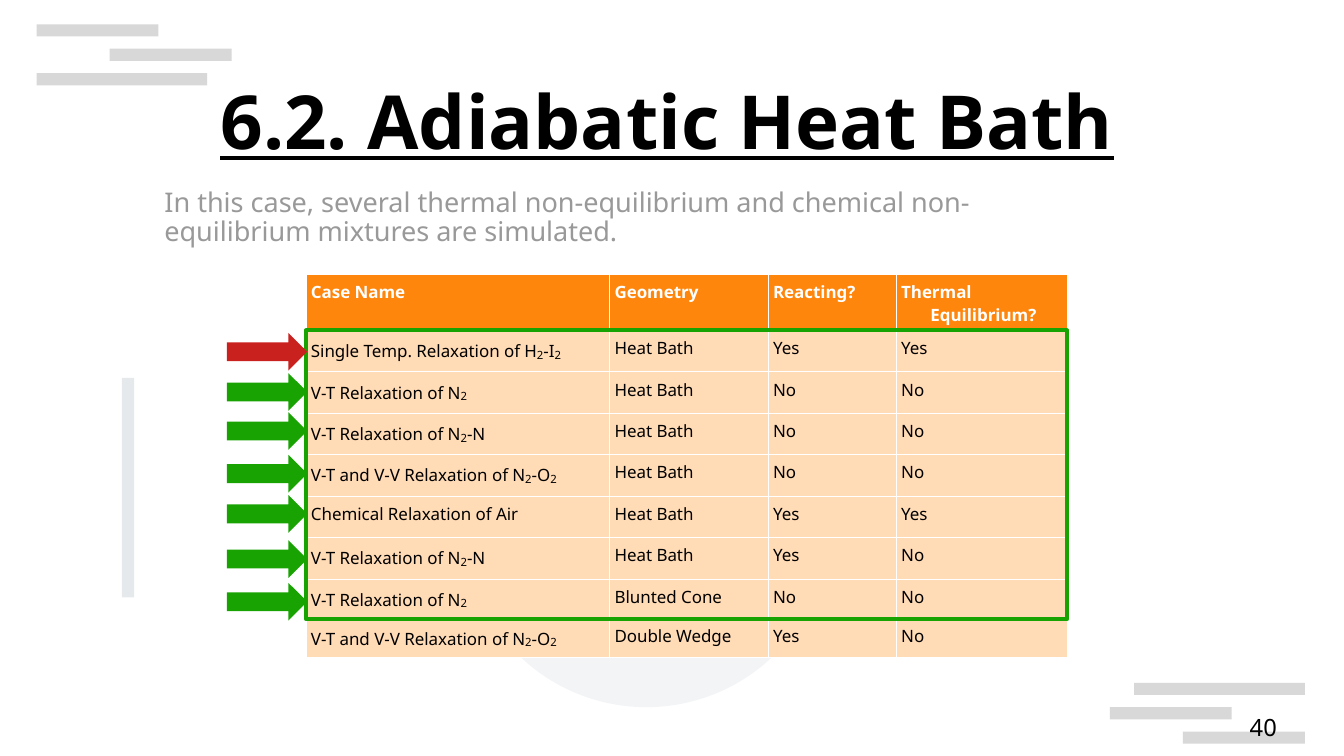
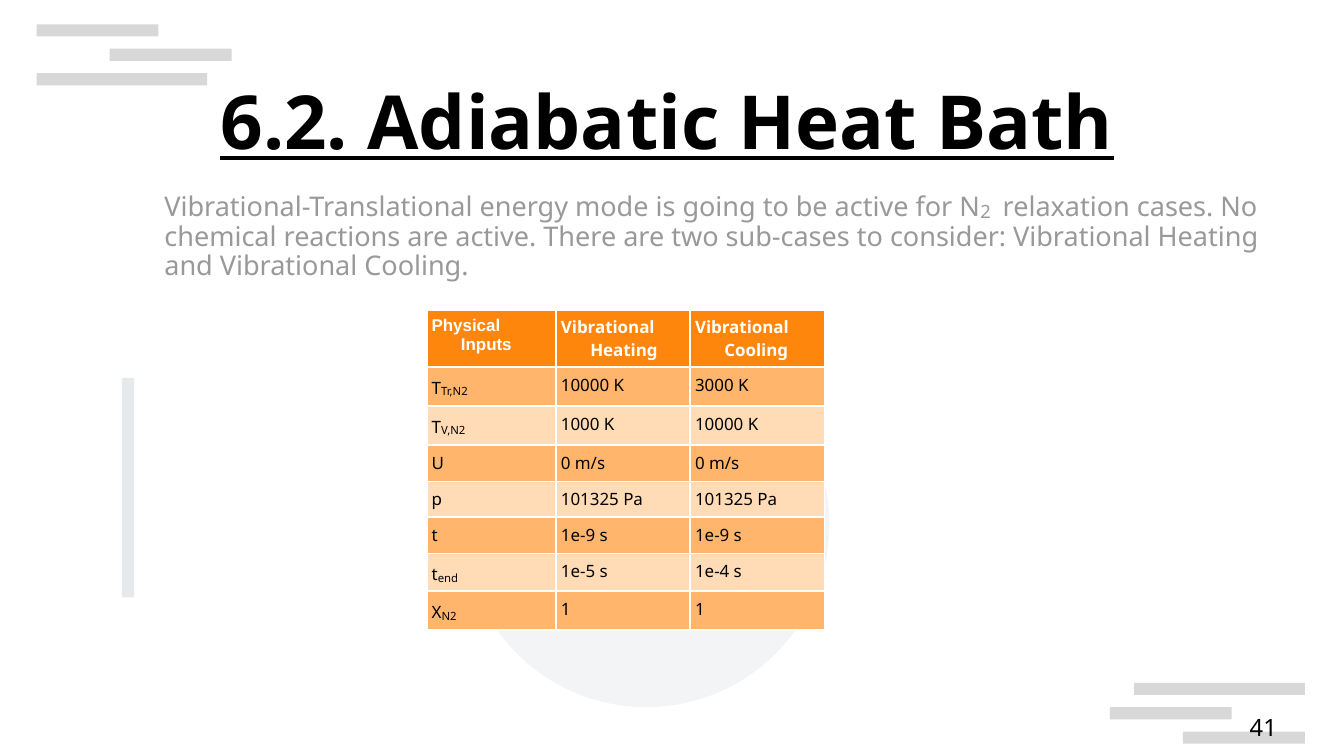
from pptx import Presentation
from pptx import util as u
from pptx.dml.color import RGBColor
from pptx.enum import shapes, text
from pptx.oxml.ns import qn
from lxml import etree

PX = 9144  # 100 px to the inch

BLACK = RGBColor(0x00, 0x00, 0x00)
WHITE = RGBColor(0xFF, 0xFF, 0xFF)
BODY_GRAY = RGBColor(0x99, 0x99, 0x99)
BAR_GRAY = RGBColor(0xCC, 0xCC, 0xCC)
SIDE_GRAY = RGBColor(0xCE, 0xD4, 0xDA)
SLATE = RGBColor(0x8D, 0x99, 0xAE)
ORANGE = RGBColor(0xFF, 0x86, 0x0D)
PEACH = RGBColor(0xFF, 0xB6, 0x6C)
LIGHT_PEACH = RGBColor(0xFF, 0xDB, 0xB6)
GREEN = RGBColor(0x18, 0xA3, 0x03)
RED = RGBColor(0xC9, 0x21, 0x1E)

FONT = "Noto Sans"
SHAPE = shapes.MSO_SHAPE
ALIGN = text.PP_ALIGN
ANCHOR = text.MSO_ANCHOR

# left, top, width of the decorative bars
BARS = [(930, 560, 140), (910, 580, 100), (970, 600, 100),
        (30, 60, 140), (90, 40, 100), (30, 20, 100)]


def write(para, words, size=10, color=BLACK, bold=False, underline=None,
          font=FONT, align=None, spacing=None):
    """Fill a paragraph; parts between ~ marks are subscripts."""
    para.alignment = align
    para.line_spacing = spacing
    for index, part in enumerate(words.split("~")):
        if not part:
            continue
        span = para.add_run()
        span.text = part
        span.font.name = font
        span.font.bold = bold
        span.font.underline = underline
        span.font.color.rgb = color
        span.font.size = u.Pt(size)
        if index % 2:
            span.font.size = u.Pt(round(size * 1.16, 1))
            span.font._element.set("baseline", "-8000")


class Style:
    """Shared look of the deck, and the slide being built."""

    def __init__(self):
        self.deck = Presentation()
        self.deck.slide_width = 1102 * PX
        self.deck.slide_height = 620 * PX
        self.page = None

    def new_page(self, title, number):
        self.page = self.deck.slides.add_slide(self.deck.slide_layouts[6])
        for left, top, width in BARS:
            self.shape(SHAPE.RECTANGLE, left, top, width, 10, BAR_GRAY, alpha=75)
        self.shape(SHAPE.OVAL, 380, 280, 300, 300, SLATE, alpha=10)
        self.shape(SHAPE.RECTANGLE, 100, 310, 10, 180, SIDE_GRAY, alpha=50)
        self.text(title, 51, 51, 992, 103, anchor=ANCHOR.MIDDLE, size=44,
                  bold=True, underline=True, align=ALIGN.CENTER, spacing=0.9)
        self.text(number, 790, 565, 257, 43, anchor=ANCHOR.BOTTOM, size=14,
                  align=ALIGN.RIGHT)

    def shape(self, kind, left, top, width, height, fill=None, alpha=None,
              line=None, weight=2.25):
        shape = self.page.shapes.add_shape(
            kind, left * PX, top * PX, width * PX, height * PX)
        shape.shadow.inherit = False
        if fill is None:
            shape.fill.background()
        else:
            shape.fill.solid()
            shape.fill.fore_color.rgb = fill
        if alpha is not None:
            color = shape._element.spPr.find(".//" + qn("a:srgbClr"))
            etree.SubElement(color, qn("a:alpha")).set("val", str(alpha * 1000))
        if line is None:
            shape.line.fill.background()
        else:
            shape.line.color.rgb = line
            shape.line.width = u.Pt(weight)

    def text(self, words, left, top, width, height, anchor=ANCHOR.TOP,
             inset=(0, 0), **form):
        box = self.page.shapes.add_textbox(
            left * PX, top * PX, width * PX, height * PX)
        frame = box.text_frame
        frame.word_wrap = True
        frame.vertical_anchor = anchor
        frame.margin_left = frame.margin_right = inset[0] * PX
        frame.margin_top = frame.margin_bottom = inset[1] * PX
        write(frame.paragraphs[0], words, **form)

    def body(self, words, width, height):
        self.text(words, 125, 150, width, height, inset=(10, 5), size=16,
                  color=BODY_GRAY, spacing=0.9)

    def table(self, left, top, widths, heights, rows, bands, border,
              corner_font=FONT):
        table = self.page.shapes.add_table(
            len(rows), len(widths), left * PX, top * PX,
            sum(widths) * PX, sum(heights) * PX).table
        table.first_row = table.horz_banding = False
        for column, width in zip(table.columns, widths):
            column.width = width * PX
        for r, (height, row) in enumerate(zip(heights, rows)):
            table.rows[r].height = height * PX
            fill = bands[(r - 1) % len(bands)] if r else ORANGE
            for c, words in enumerate(row):
                self.cell(table.cell(r, c), words, fill, border,
                          color=BLACK if r else WHITE, bold=r == 0,
                          font=FONT if r or c else corner_font)

    def cell(self, cell, words, fill, border, **form):
        cell.margin_left = cell.margin_right = 4 * PX
        cell.margin_top = cell.margin_bottom = 5 * PX
        # Borders come before the fill in the cell properties
        properties = cell._tc.get_or_add_tcPr()
        for side in ("lnL", "lnR", "lnT", "lnB"):
            line = etree.SubElement(properties, qn("a:" + side))
            line.set("w", str(int(u.Pt(border))))
            solid = etree.SubElement(line, qn("a:solidFill"))
            etree.SubElement(solid, qn("a:srgbClr")).set("val", str(WHITE))
        cell.fill.solid()
        cell.fill.fore_color.rgb = fill
        # Hanging indent
        para = cell.text_frame.paragraphs[0]
        indent = para._p.get_or_add_pPr()
        indent.set("marL", str(24 * PX))
        indent.set("indent", str(-24 * PX))
        write(para, words, **form)


CASES = [
    ("Case Name", "Geometry", "Reacting?", "Thermal Equilibrium?"),
    ("Single Temp. Relaxation of H~2~-I~2~", "Heat Bath", "Yes", "Yes"),
    ("V-T Relaxation of N~2~", "Heat Bath", "No", "No"),
    ("V-T Relaxation of N~2~-N", "Heat Bath", "No", "No"),
    ("V-T and V-V Relaxation of N~2~-O~2~", "Heat Bath", "No", "No"),
    ("Chemical Relaxation of Air", "Heat Bath", "Yes", "Yes"),
    ("V-T Relaxation of N~2~-N", "Heat Bath", "Yes", "No"),
    ("V-T Relaxation of N~2~", "Blunted Cone", "No", "No"),
    ("V-T and V-V Relaxation of N~2~-O~2~", "Double Wedge", "Yes", "No"),
]

INPUTS = [
    ("Physical Inputs", "Vibrational Heating", "Vibrational Cooling"),
    ("T~Tr,N2~", "10000 K", "3000 K"),
    ("T~V,N2~", "1000 K", "10000 K"),
    ("U", "0 m/s", "0 m/s"),
    ("p", "101325 Pa", "101325 Pa"),
    ("t", "1e-9 s", "1e-9 s"),
    ("t~end~", "1e-5 s", "1e-4 s"),
    ("X~N2~", "1", "1"),
]

ARROW_TOPS = [273, 306, 338, 373, 406, 443, 478]
TITLE = "6.2. Adiabatic Heat Bath"


def main():
    style = Style()

    # Overview of the cases
    style.new_page(TITLE, "40")
    style.table(251, 225, [249, 130, 105, 140], [46] + [34] * 6 + [32] * 2,
                CASES, [LIGHT_PEACH], 0.57)
    style.shape(SHAPE.RECTANGLE, 251, 271, 624, 237, line=GREEN)
    for index, top in enumerate(ARROW_TOPS):
        style.shape(SHAPE.RIGHT_ARROW, 186, top, 66, 31, GREEN if index else RED)
    style.body("In this case, several thermal non-equilibrium and chemical "
               "non-equilibrium mixtures are simulated.", 800, 70)

    # Inputs of the nitrogen relaxation
    style.new_page(TITLE, "41")
    style.table(350, 254, [106, 110, 110], [47, 32, 32, 30, 29, 30, 31, 32],
                INPUTS, [PEACH, LIGHT_PEACH], 1.13, corner_font="Arial")
    style.body("Vibrational-Translational energy mode is going to be active for "
               "N~2 ~ relaxation cases. No chemical reactions are active. There "
               "are two sub-cases to consider: Vibrational Heating and "
               "Vibrational Cooling.", 950, 100)

    style.deck.save("out.pptx")


if __name__ == "__main__":
    main()
